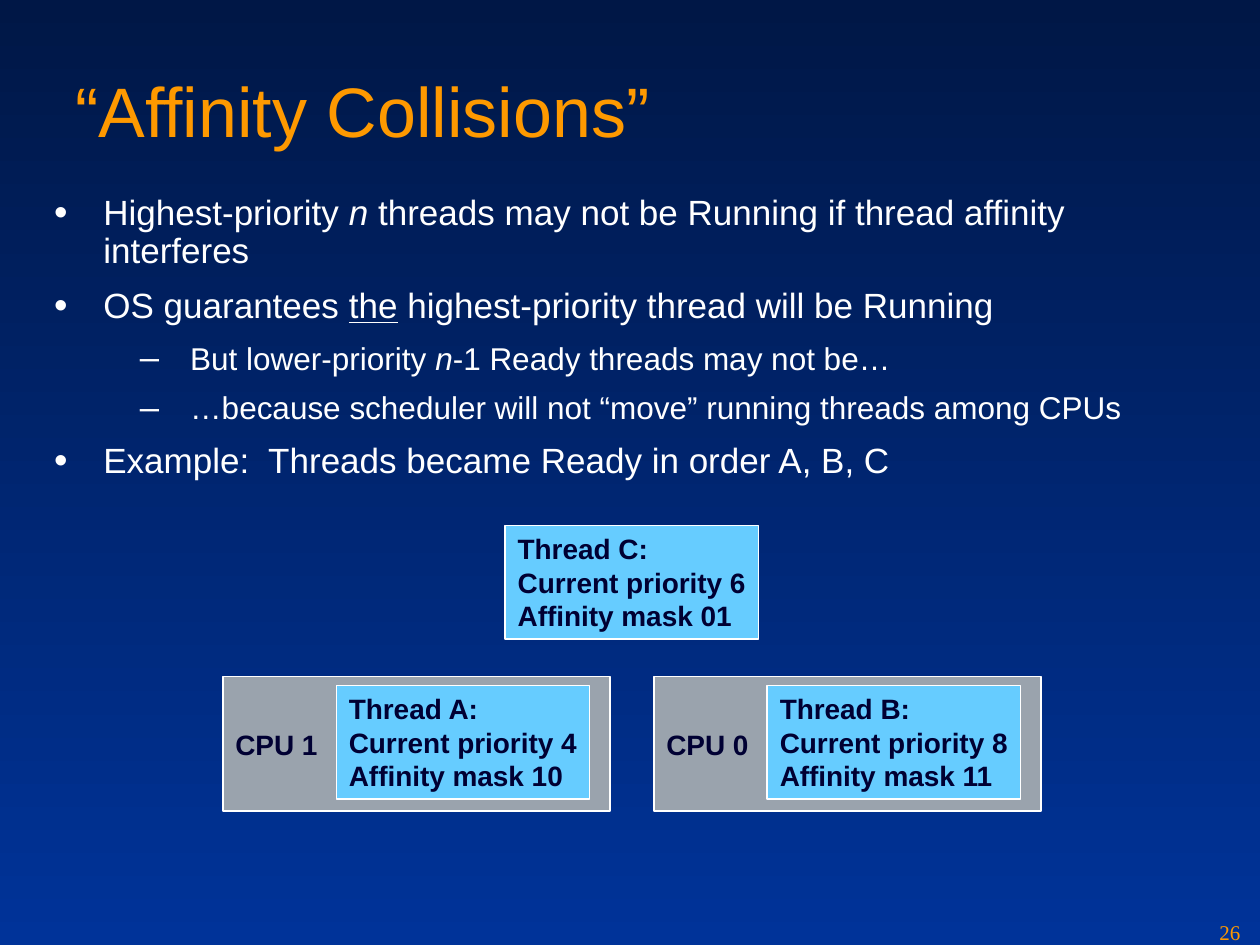
from dataclasses import dataclass

from lxml import etree
from pptx import Presentation, util as u
from pptx.dml.color import RGBColor
from pptx.enum import shapes, text
from pptx.oxml import ns


@dataclass(frozen=True)
class Theme:
    top: str = "001746"
    bottom: str = "003399"
    accent: str = "FE9900"
    light: str = "FFFFFF"
    ink: str = "000033"
    cpu: str = "9AA3AD"
    thread: str = "66CCFF"
    sans: str = "Arial"
    serif: str = "Times New Roman"
    title_size: int = 40
    label_size: int = 16
    number_size: int = 12


@dataclass(frozen=True)
class Level:
    mark: str
    size: int
    margin: float
    hang: float
    space: float


THEME = Theme()
LEVELS = (
    Level("•", 20, 0.39, 0.39, 5),
    Level("–", 18, 1.08, 0.4, 4.5),
)
POINTS = (
    (0, [("Highest-priority ", ""), ("n", "italic"),
         (" threads may not be Running if thread affinity interferes", "")]),
    (0, [("OS guarantees ", ""), ("the", "underline"),
         (" highest-priority thread will be Running", "")]),
    (1, [("But lower-priority ", ""), ("n", "italic"),
         ("-1 Ready threads may not be…", "")]),
    (1, [("…because scheduler will not “move” running threads among CPUs", "")]),
    (0, [("Example:  Threads became Ready in order A, B, C", "")]),
)
CPUS = (("CPU 1", "A", 4, "10"), ("CPU 0", "B", 8, "11"))
CPU_LEFT, CPU_TOP, CPU_STEP = 1.77, 5.37, 3.42
CPU_SIZE = (3.07, 1.07)
THREAD_SIZE = (2.01, 0.9)
THREAD_OFFSET = (0.9, 0.07)
WAITING_TOP = 4.17


def color(value):
    return RGBColor.from_string(value)


def place(item, left, top, width, height):
    item.left, item.top = u.Inches(left), u.Inches(top)
    item.width, item.height = u.Inches(width), u.Inches(height)


def add_run(paragraph, words, size, ink, face=THEME.sans, **styles):
    run = paragraph.add_run()
    run.text = words
    run.font.name = face
    run.font.size = u.Pt(size)
    run.font.color.rgb = color(ink)
    for style, value in styles.items():
        setattr(run.font, style, value)


def paint_background(slide):
    fill = slide.background.fill
    fill.gradient()
    fill.gradient_angle = 270
    for stop, position, shade in zip(
            fill.gradient_stops, (0, 1), (THEME.top, THEME.bottom)):
        stop.position = position
        stop.color.rgb = color(shade)


def write_title(title):
    place(title, 0.5, 0.24, 9, 1.25)
    frame = title.text_frame
    frame.vertical_anchor = text.MSO_ANCHOR.MIDDLE
    frame.auto_size = text.MSO_AUTO_SIZE.NONE
    heading = frame.paragraphs[0]
    heading.alignment = text.PP_ALIGN.LEFT
    add_run(heading, "“Affinity Collisions”", THEME.title_size, THEME.accent)


def set_bullet(paragraph, level):
    properties = paragraph._p.get_or_add_pPr()
    properties.set("marL", str(u.Inches(level.margin)))
    properties.set("indent", str(-u.Inches(level.hang)))
    tint = etree.SubElement(properties, ns.qn("a:buClr"))
    etree.SubElement(tint, ns.qn("a:srgbClr"), val=THEME.light)
    etree.SubElement(properties, ns.qn("a:buSzPct"), val="110000")
    etree.SubElement(properties, ns.qn("a:buFont"), typeface=THEME.sans)
    etree.SubElement(properties, ns.qn("a:buChar"), char=level.mark)


def write_points(body):
    place(body, 0.33, 1.5, 9, 4.56)
    frame = body.text_frame
    frame.auto_size = text.MSO_AUTO_SIZE.NONE
    for index, (depth, parts) in enumerate(POINTS):
        point = frame.add_paragraph() if index else frame.paragraphs[0]
        level = LEVELS[depth]
        point.level = depth
        set_bullet(point, level)
        point.alignment = text.PP_ALIGN.LEFT
        point.line_spacing = 0.9
        point.space_before = u.Pt(level.space if index else 0)
        point.space_after = u.Pt(level.space)
        for words, style in parts:
            add_run(point, words, level.size, THEME.light,
                    **({style: True} if style else {}))


def add_box(slide, left, top, size, fill, lines, anchor):
    box = slide.shapes.add_shape(
        shapes.MSO_SHAPE.RECTANGLE, *map(u.Inches, (left, top, *size)))
    box.shadow.inherit = False
    box.fill.solid()
    box.fill.fore_color.rgb = color(fill)
    box.line.color.rgb = color(THEME.light)
    box.line.width = u.Pt(1)
    frame = box.text_frame
    frame.word_wrap = False
    frame.vertical_anchor = anchor
    for index, line in enumerate(lines):
        paragraph = frame.add_paragraph() if index else frame.paragraphs[0]
        paragraph.alignment = text.PP_ALIGN.LEFT
        add_run(paragraph, line, THEME.label_size, THEME.ink, bold=True)


def add_cpu(slide, left, label):
    add_box(slide, left, CPU_TOP, CPU_SIZE, THEME.cpu, [label],
            text.MSO_ANCHOR.MIDDLE)


def add_thread(slide, left, top, name, priority, mask):
    lines = [f"Thread {name}:", f"Current priority {priority}",
             f"Affinity mask {mask}"]
    add_box(slide, left, top, THREAD_SIZE, THEME.thread, lines,
            text.MSO_ANCHOR.TOP)


def add_page_number(slide):
    number = slide.shapes.add_textbox(*map(u.Inches, (9.58, 7.25, 0.42, 0.25)))
    number.text_frame.word_wrap = True
    add_run(number.text_frame.paragraphs[0], "26", THEME.number_size,
            THEME.accent, THEME.serif)


def main():
    deck = Presentation()
    deck.slide_width, deck.slide_height = u.Inches(10), u.Inches(7.5)
    slide = deck.slides.add_slide(deck.slide_layouts[1])
    paint_background(slide)
    write_title(slide.shapes.title)
    write_points(slide.placeholders[1])

    for column, (label, name, priority, mask) in enumerate(CPUS):
        left = CPU_LEFT + column * CPU_STEP
        add_cpu(slide, left, label)
        add_thread(slide, left + THREAD_OFFSET[0], CPU_TOP + THREAD_OFFSET[1],
                   name, priority, mask)
    row_width = CPU_STEP + CPU_SIZE[0]
    waiting_left = CPU_LEFT + (row_width - THREAD_SIZE[0]) / 2
    add_thread(slide, waiting_left, WAITING_TOP, "C", 6, "01")
    add_page_number(slide)
    deck.save("out.pptx")


if __name__ == "__main__":
    main()
